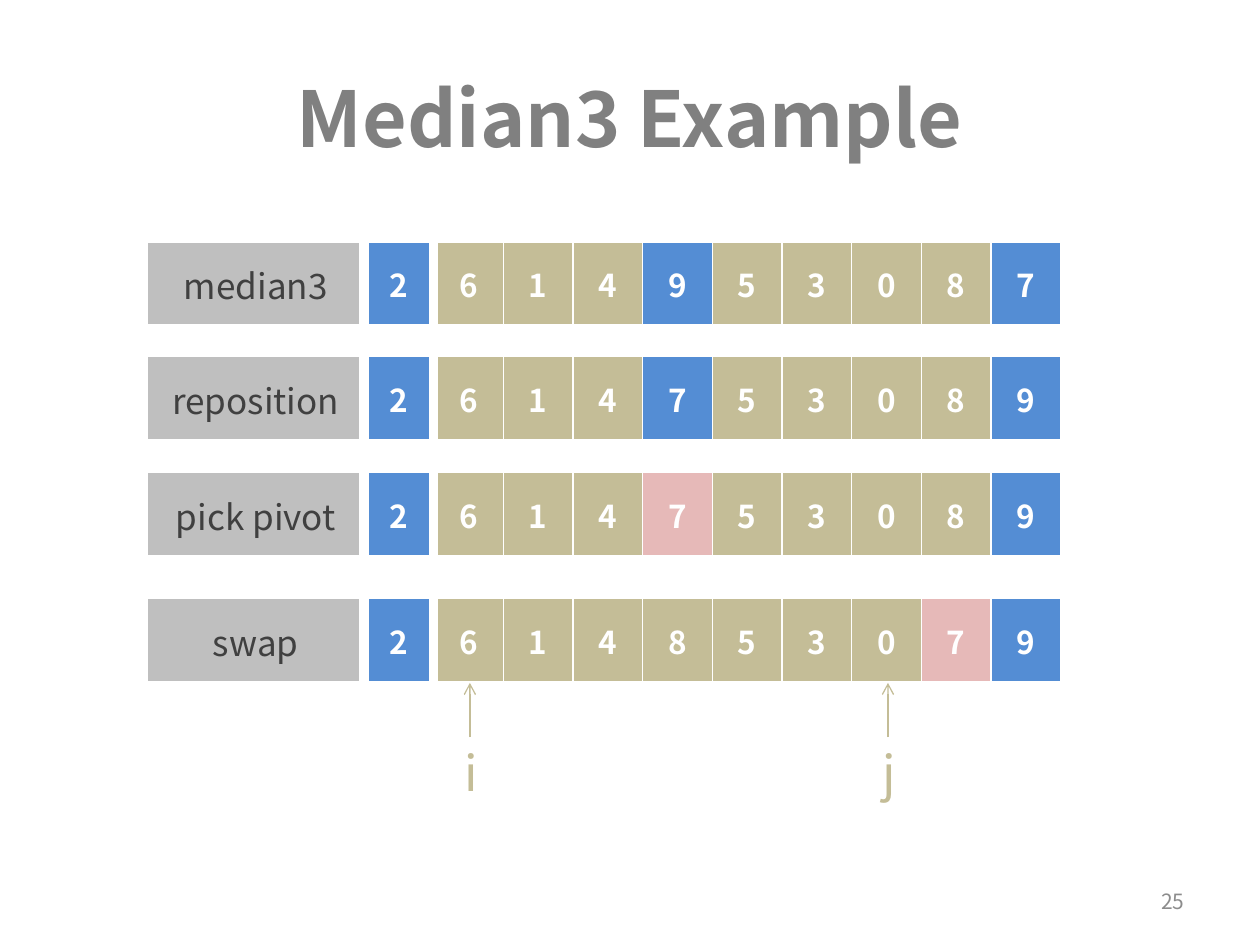
from lxml.etree import SubElement
from pptx import Presentation
from pptx.dml.color import RGBColor
from pptx.enum.shapes import MSO_CONNECTOR
from pptx.enum.text import MSO_ANCHOR, MSO_AUTO_SIZE, PP_ALIGN
from pptx.oxml.ns import qn
from pptx.util import Inches, Pt

FONT = "Noto Sans CJK SC"
WHITE = RGBColor(0xFF, 0xFF, 0xFF)
TITLE_GRAY = RGBColor(0x80, 0x80, 0x80)
NUMBER_GRAY = RGBColor(0x8C, 0x8C, 0x8C)
LABEL_TEXT = RGBColor(0x40, 0x40, 0x40)
LABEL_FILL = RGBColor(0xBF, 0xBF, 0xBF)
BLUE = RGBColor(0x54, 0x8D, 0xD4)
TAN = RGBColor(0xC4, 0xBD, 0x97)
PINK = RGBColor(0xE6, 0xB9, 0xB8)

LEFT, WIDTH, HEIGHT = 1.17, 7.25, 0.67
LABEL_WIDTH = 1.72
CELL_WIDTH = (WIDTH - LABEL_WIDTH) / 10

STEPS = [
    (1.92, "median3", "2614953087", {0: BLUE, 4: BLUE, 9: BLUE}),
    (2.83, "reposition", "2614753089", {0: BLUE, 4: BLUE, 9: BLUE}),
    (3.75, "pick pivot", "2614753089", {0: BLUE, 4: PINK, 9: BLUE}),
    (4.75, "swap", "2614853079", {0: BLUE, 8: PINK, 9: BLUE}),
]


def write(tf, text, align, size, color, bold=False):
    p = tf.paragraphs[0]
    p.alignment = align
    r = p.add_run()
    r.text = text
    r.font.color.rgb = color
    for name, value in {"name": FONT, "size": Pt(size), "bold": bold}.items():
        setattr(r.font, name, value)


def set_borders(cell, widths):
    tcPr = cell._tc.get_or_add_tcPr()
    for side, width in widths.items():
        ln = SubElement(tcPr, qn(f"a:ln{side}"), w=str(Pt(width)))
        SubElement(SubElement(ln, qn("a:solidFill")), qn("a:srgbClr"), val=str(WHITE))


prs = Presentation()
prs.slide_width, prs.slide_height = Inches(10), Inches(7.5)
s = prs.slides.add_slide(prs.slide_layouts[5])

title = s.shapes.title
title.left, title.top, title.width, title.height = map(Inches, (0.5, 0.3, 9, 1.25))
title.text_frame.vertical_anchor = MSO_ANCHOR.MIDDLE
write(title.text_frame, "Median3 Example", PP_ALIGN.CENTER, 44, TITLE_GRAY, True)

number = s.shapes.add_textbox(*map(Inches, (7.17, 6.95, 2.33, 0.4)))
number.text_frame.word_wrap = True
number.text_frame.vertical_anchor = MSO_ANCHOR.MIDDLE
write(number.text_frame, "25", PP_ALIGN.RIGHT, 12, NUMBER_GRAY)

for top, label, digits, marks in STEPS:
    frame = s.shapes.add_table(1, 11, *map(Inches, (LEFT, top, WIDTH, HEIGHT)))
    table = frame.table
    table.first_row = table.horz_banding = False
    for col, text in enumerate([label, *digits]):
        table.columns[col].width = Inches(CELL_WIDTH if col else LABEL_WIDTH)
        cell = table.cell(0, col)
        left = 6 if col in (1, 2) else 1
        right = 6 if col in (0, 1) else 1
        set_borders(cell, {"L": left, "R": right, "T": 1, "B": 3})
        cell.vertical_anchor = MSO_ANCHOR.MIDDLE
        cell.fill.solid()
        cell.fill.fore_color.rgb = marks.get(col - 1, TAN) if col else LABEL_FILL
        size, color = (18, WHITE) if col else (20, LABEL_TEXT)
        write(cell.text_frame, text, PP_ALIGN.CENTER, size, color, col > 0)

row_bottom = STEPS[-1][0] + HEIGHT
for index, col in (("i", 1), ("j", 7)):
    x = LEFT + LABEL_WIDTH + (col + 0.5) * CELL_WIDTH + 0.01
    group = s.shapes.add_group_shape()
    arrow = group.shapes.add_connector(
        MSO_CONNECTOR.STRAIGHT, *map(Inches, (x, row_bottom + 0.43, x, row_bottom)))
    arrow.line.color.rgb = TAN
    arrow.line.width = Pt(0.75)
    SubElement(arrow.line._get_or_add_ln(), qn("a:tailEnd"), type="arrow")
    SubElement(arrow._element.spPr, qn("a:effectLst"))
    pointer = group.shapes.add_textbox(
        *map(Inches, (x - 0.145, row_bottom + 0.42, 0.29, 0.57)))
    pointer.text_frame.word_wrap = False
    pointer.text_frame.auto_size = MSO_AUTO_SIZE.SHAPE_TO_FIT_TEXT
    write(pointer.text_frame, index, PP_ALIGN.LEFT, 28, TAN)

prs.save("out.pptx")
